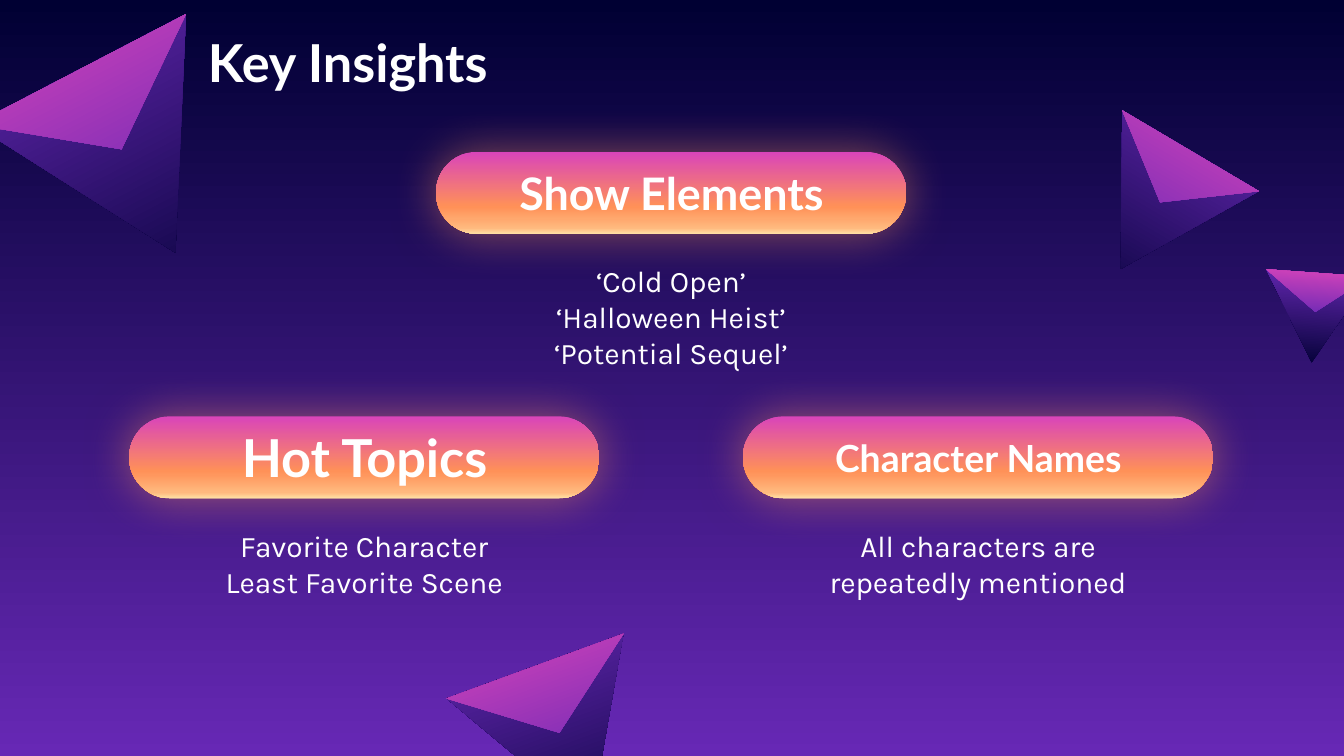
import copy
import math
import lxml.etree
import pptx
import pptx.dml.color
import pptx.enum.shapes
import pptx.enum.text
import pptx.oxml.ns
import pptx.util

Cm = pptx.util.Cm
Pt = pptx.util.Pt
RGB = pptx.dml.color.RGBColor
Kind = pptx.enum.shapes.MSO_SHAPE
Align = pptx.enum.text.PP_ALIGN
Anchor = pptx.enum.text.MSO_ANCHOR
qn = pptx.oxml.ns.qn

WHITE = RGB(0xFF, 0xFF, 0xFF)
NAVY = RGB(0x00, 0x00, 0x33)
VIOLET = RGB(0x67, 0x28, 0xB5)
PINK = RGB(0xD9, 0x44, 0xBA)
ORANGE = RGB(0xFF, 0x91, 0x58)
PEACH = RGB(0xFF, 0xB9, 0x7E)
CREAM = RGB(0xFF, 0xE0, 0xA4)

DARK = [(0, NAVY), (1, VIOLET)]
LIGHT = [(0, VIOLET), (1, PINK)]
SUNSET = [(0, PINK), (0.67, ORANGE), (0.93, PEACH), (1, CREAM)]

HEAD = {"name": "Lato", "bold": True}
BODY = {"name": "Karla", "bold": False, "size": Pt(16)}
INSET = Cm(0.25)
FRAME = {
    "word_wrap": True,
    "auto_size": pptx.enum.text.MSO_AUTO_SIZE.NONE,
    "margin_left": INSET,
    "margin_top": INSET,
    "margin_right": INSET,
    "margin_bottom": INSET,
}


def shade(fill, stops):
    fill.gradient()
    fill.gradient_angle = 270
    first = fill.gradient_stops[0]._gs
    for _ in stops[2:]:
        first.addnext(copy.deepcopy(first))
    for stop, (place, color) in zip(fill.gradient_stops, stops):
        stop.position = place
        stop.color.rgb = color


def write(box, lines, align, anchor, style):
    frame = box.text_frame
    for key, value in {**FRAME, "vertical_anchor": anchor}.items():
        setattr(frame, key, value)
    frame.text = "\n".join(lines)
    for para in frame.paragraphs:
        para.alignment = align
        para.font.color.rgb = WHITE
        for key, value in style.items():
            setattr(para.font, key, value)


deck = pptx.Presentation()
deck.slide_width = Cm(25.4)
deck.slide_height = Cm(14.29)
slide = deck.slides.add_slide(deck.slide_layouts[5])
shapes = slide.shapes
shade(slide.background.fill, DARK)

title = shapes.title
place = {"left": Cm(3.68), "top": Cm(0.33), "width": Cm(14.73), "height": Cm(2.24)}
for key, value in place.items():
    setattr(title, key, value)
write(title, ["Key Insights"], Align.LEFT, Anchor.TOP, {**HEAD, "size": Pt(28)})

LEFT, STEP = 2.44, 5.8
cards = [
    (2, 7.87, "Character Names", 20, ["All characters are repeatedly mentioned"]),
    (0, 7.87, "Hot Topics", 28, ["Favorite Character", "Least Favorite Scene"]),
    (1, 2.87, "Show Elements", 24,
     ["‘Cold Open’", "‘Halloween Heist’", "‘Potential Sequel’"]),
]
for col, top, head, size, lines in cards:
    left = LEFT + col * STEP
    pill = shapes.add_shape(
        Kind.ROUNDED_RECTANGLE, Cm(left), Cm(top), Cm(8.89), Cm(1.55))
    pill.adjustments[0] = 0.5
    pill.line.fill.background()
    shade(pill.fill, SUNSET)
    pill.shadow.inherit = False
    glow = lxml.etree.SubElement(
        pill._element.spPr.find(qn("a:effectLst")), qn("a:outerShdw"),
        blurRad=str(Pt(24.8)), dist="0", dir="0", algn="ctr", rotWithShape="0")
    tint = lxml.etree.SubElement(glow, qn("a:srgbClr"), val=str(ORANGE))
    lxml.etree.SubElement(tint, qn("a:alpha"), val="50000")

    label = shapes.add_textbox(Cm(left + 0.41), Cm(top + 0.15), Cm(8.08), Cm(1.24))
    write(label, [head], Align.CENTER, Anchor.MIDDLE, {**HEAD, "size": Pt(size)})
    text = shapes.add_textbox(Cm(left + 1.22), Cm(top + 1.85), Cm(6.45), Cm(1.93))
    write(text, lines, Align.CENTER, Anchor.TOP, BODY)

# Each gem is two triangles that share the midpoint of their base.
gems = [
    (1.51, 1.31, 4.52, 152.5),
    (22.5, 2.85, 3, 210.6),
    (24.91, 5.16, 1.96, 184.1),
    (10.11, 12.59, 3.56, 159.9),
]
for base_x, base_y, width, turn in gems:
    group = shapes.add_group_shape()
    angle = math.radians(turn)
    for ratio, stops in [(0.865, DARK), (0.377, LIGHT)]:
        high = width * ratio
        mid_x = base_x + high / 2 * math.sin(angle)
        mid_y = base_y - high / 2 * math.cos(angle)
        face = group.shapes.add_shape(
            Kind.ISOSCELES_TRIANGLE, Cm(mid_x - width / 2), Cm(mid_y - high / 2),
            Cm(width), Cm(high))
        face.rotation = turn
        face.shadow.inherit = False
        face.line.fill.background()
        shade(face.fill, stops)

deck.save("out.pptx")
